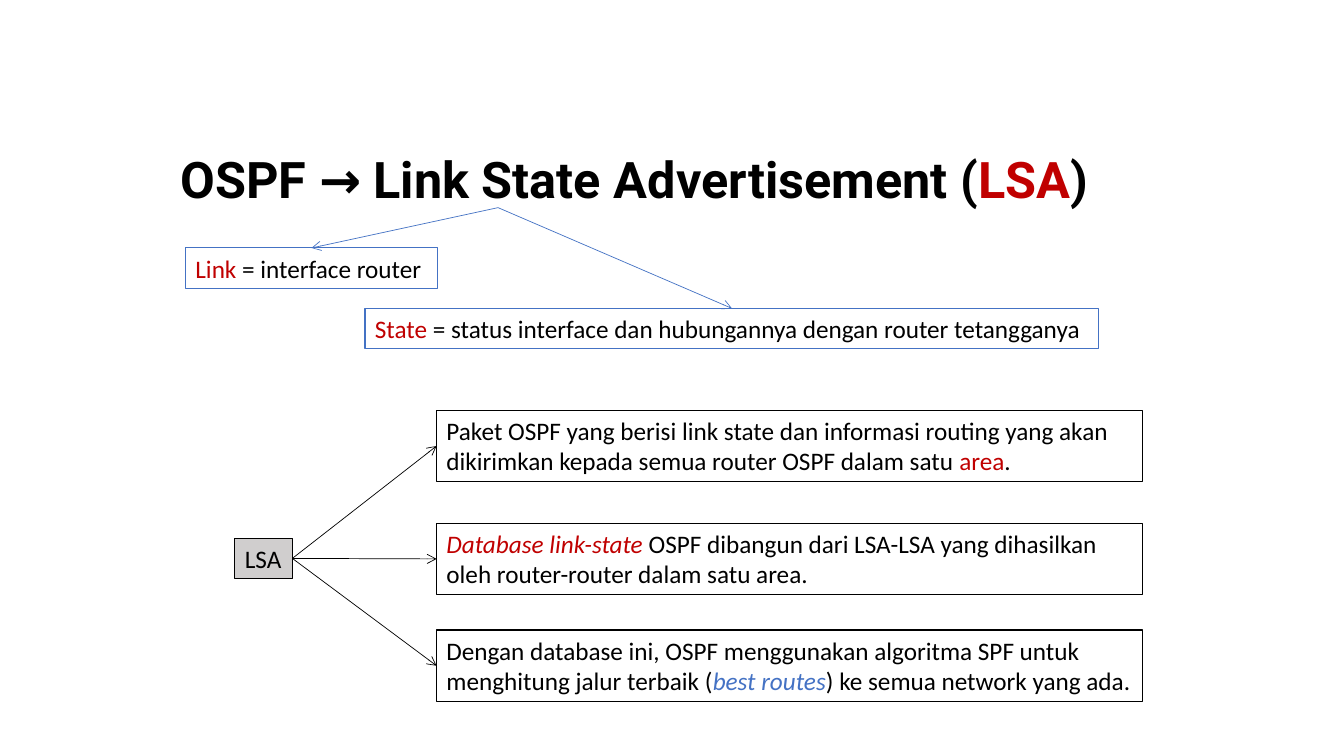
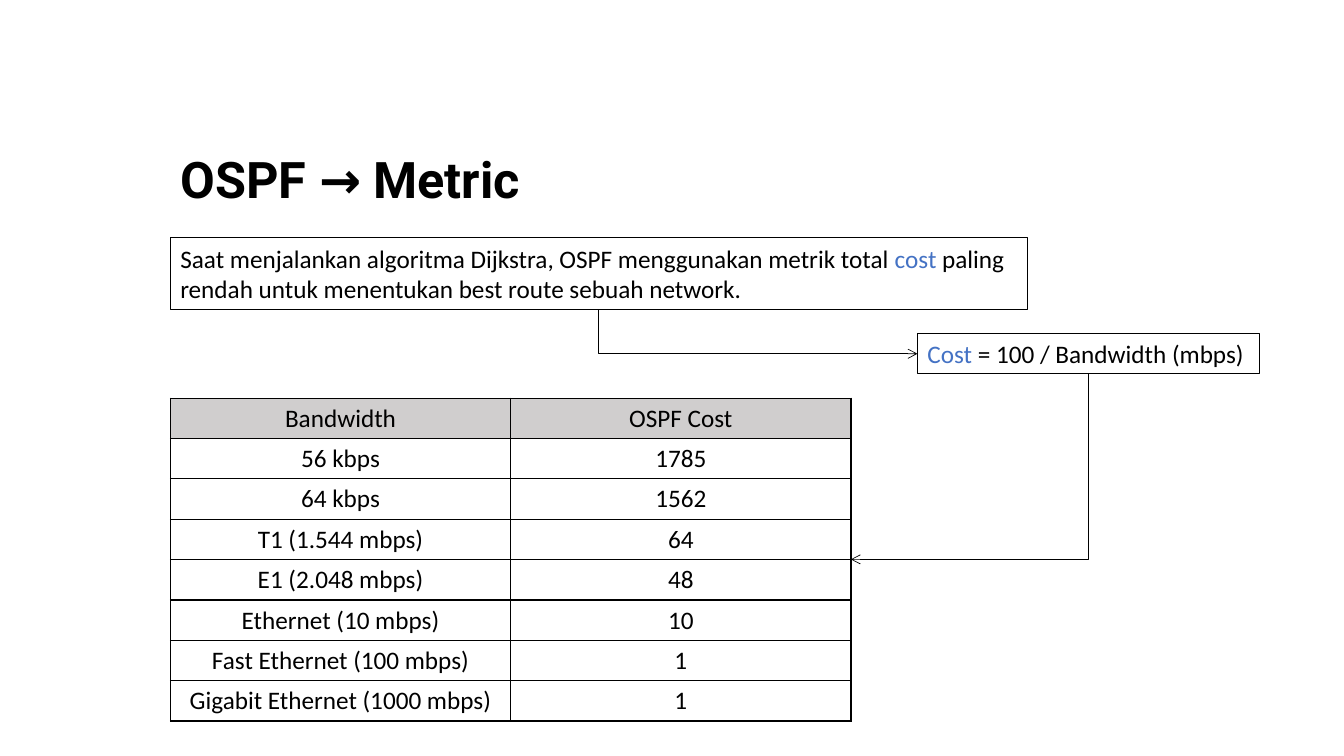
import pptx
import pptx.util
import pptx.dml.color
import pptx.enum.shapes
import pptx.enum.text
import pptx.oxml
import pptx.oxml.ns

Inches = pptx.util.Inches
Pt = pptx.util.Pt
Color = pptx.dml.color.RGBColor
Kind = pptx.enum.shapes.MSO_CONNECTOR
Align = pptx.enum.text.PP_ALIGN
Fit = pptx.enum.text.MSO_AUTO_SIZE
Anchor = pptx.enum.text.MSO_ANCHOR
qn = pptx.oxml.ns.qn

BLACK = Color(0x00, 0x00, 0x00)
RED = Color(0xC0, 0x00, 0x00)
BLUE = Color(0x44, 0x72, 0xC4)
GRAY = Color(0xD0, 0xCE, 0xCE)
TOP, LEFT, BOTTOM, RIGHT = range(4)


class Deck:
    head = "Roboto"
    body = "Calibri"
    size = Pt(18)

    def __init__(self):
        self.prs = pptx.Presentation()
        self.prs.slide_width = Inches(13.33)
        self.prs.slide_height = Inches(7.5)
        self.slide = None

    def page(self, *runs):
        self.slide = self.prs.slides.add_slide(self.prs.slide_layouts[5])
        title = self.slide.shapes.title
        title.left, title.top = Inches(1.69), Inches(1.36)
        title.width, title.height = Inches(10.66), Inches(0.89)
        frame = title.text_frame
        frame.auto_size = Fit.NONE
        frame.vertical_anchor = Anchor.MIDDLE
        para = frame.paragraphs[0]
        para.alignment = Align.LEFT
        para.line_spacing = 0.9
        self.label(para, runs, self.head, Pt(36))
        para.font.bold = True

    def label(self, para, runs, font, size):
        para.font.name = font
        para.font.size = size
        para.font.color.rgb = BLACK
        for item in runs:
            text, color, slant = item if isinstance(item, tuple) else (item, None, False)
            run = para.add_run()
            run.text = text
            if color is not None:
                run.font.color.rgb = color
            if slant:
                run.font.italic = True

    def box(self, left, top, width, *runs, edge=BLACK, fill=None, tall=False):
        height = 0.71 if tall else 0.4
        box = self.slide.shapes.add_textbox(*map(Inches, (left, top, width, height)))
        box.line.color.rgb = edge
        box.line.width = Pt(0.75)
        if fill is not None:
            box.fill.solid()
            box.fill.fore_color.rgb = fill
        frame = box.text_frame
        frame.word_wrap = tall
        frame.auto_size = Fit.SHAPE_TO_FIT_TEXT
        self.label(frame.paragraphs[0], runs, self.body, self.size)
        return box

    def arrow(self, start, end, color=BLACK):
        line = self.slide.shapes.add_connector(Kind.STRAIGHT, 0, 0, 0, 0)
        if isinstance(start[0], float):
            line.begin_x, line.begin_y = map(Inches, start)
        else:
            line.begin_connect(*start)
        line.end_connect(*end)
        self.style(line, color, "a:tailEnd")

    def elbow(self, start, end):
        line = self.slide.shapes.add_connector(Kind.ELBOW, 0, 0, 0, 0)
        line.begin_connect(*end)
        line.end_connect(*start)
        line._element.spPr.find(qn("a:prstGeom")).set("prst", "bentConnector2")
        self.style(line, BLACK, "a:headEnd")

    def style(self, line, color, tip):
        line.line.color.rgb = color
        line.line.width = Pt(0.5)
        props = line._element.spPr
        edge = props.find(qn("a:ln"))
        edge.append(edge.makeelement(qn(tip), {"type": "arrow"}))
        props.append(props.makeelement(qn("a:effectLst"), {}))

    def table(self, left, top, width, rows):
        high = 0.4 * len(rows)
        frame = self.slide.shapes.add_table(
            len(rows), len(rows[0]), *map(Inches, (left, top, width, high)))
        grid = frame.table
        grid.first_row = False
        grid.horz_banding = False
        for i, row in enumerate(rows):
            for j, text in enumerate(row):
                cell = grid.cell(i, j)
                para = cell.text_frame.paragraphs[0]
                para.alignment = Align.CENTER
                self.label(para, [text], self.body, self.size)
                self.border(cell)
                if i:
                    cell.fill.background()
                else:
                    cell.fill.solid()
                    cell.fill.fore_color.rgb = GRAY
        return frame

    def border(self, cell):
        props = cell._tc.get_or_add_tcPr()
        for side in "LRTB":
            props.append(pptx.oxml.parse_xml(
                f'<a:ln{side} xmlns:a="http://schemas.openxmlformats.org/drawingml/2006/main"'
                f' w="{Pt(1)}"><a:solidFill><a:srgbClr val="{BLACK}"/></a:solidFill></a:ln{side}>'))


def advert(deck):
    deck.page("OSPF → Link State Advertisement (", ("LSA", RED, False), ")")
    link = deck.box(1.84, 2.46, 2.5, ("Link", RED, False), " = interface router", edge=BLUE)
    state = deck.box(3.62, 3.06, 7.28, ("State", RED, False),
                     " = status interface dan hubungannya dengan router tetangganya", edge=BLUE)
    for box in (link, state):
        deck.arrow((4.94, 2.06), (box, TOP), BLUE)

    lsa = deck.box(2.33, 5.34, 0.57, "LSA", fill=GRAY)
    facts = [
        (4.07, ["Paket OSPF yang berisi link state dan informasi routing yang akan "
                "dikirimkan kepada semua router OSPF dalam satu ", ("area", RED, False), "."]),
        (5.19, [("Database link-state ", RED, True),
                "OSPF dibangun dari LSA-LSA yang dihasilkan oleh router-router dalam satu area."]),
        (6.25, ["Dengan database ini, OSPF menggunakan algoritma SPF untuk menghitung "
                "jalur terbaik (", ("best routes", BLUE, True), ") ke semua network yang ada."]),
    ]
    for top, runs in facts:
        fact = deck.box(4.33, top, 7, *runs, tall=True)
        deck.arrow((lsa, RIGHT), (fact, LEFT))


def metric(deck):
    deck.page("OSPF → Metric")
    intro = deck.box(1.69, 2.36, 8.5,
                     "Saat menjalankan algoritma Dijkstra, OSPF menggunakan metrik total ",
                     ("cost", BLUE, False),
                     " paling rendah untuk menentukan best route sebuah network.", tall=True)
    cost = deck.box(9.1, 3.31, 3.39, ("Cost", BLUE, False), " = 100 / Bandwidth (mbps)")
    costs = deck.table(1.69, 3.95, 6.75, [
        ("Bandwidth", "OSPF Cost"),
        ("56 kbps", "1785"),
        ("64 kbps", "1562"),
        ("T1 (1.544 mbps)", "64"),
        ("E1 (2.048 mbps)", "48"),
        ("Ethernet (10 mbps)", "10"),
        ("Fast Ethernet (100 mbps)", "1"),
        ("Gigabit Ethernet (1000 mbps)", "1"),
    ])
    deck.elbow((intro, BOTTOM), (cost, LEFT))
    deck.elbow((cost, BOTTOM), (costs, RIGHT))


def main():
    deck = Deck()
    advert(deck)
    metric(deck)
    deck.prs.save("out.pptx")


if __name__ == "__main__":
    main()
